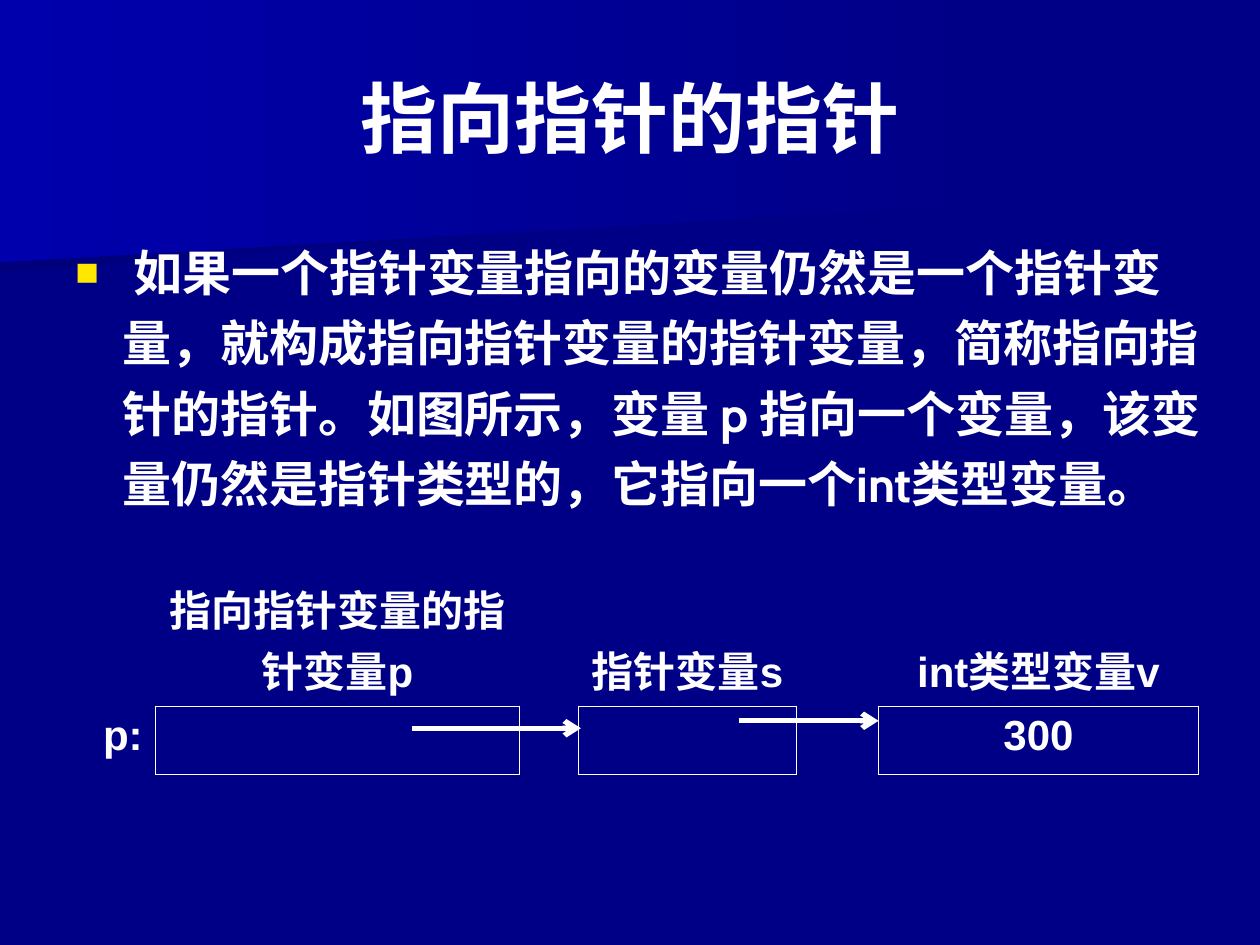
from lxml.etree import SubElement
from pptx import Presentation
from pptx.dml.color import RGBColor
from pptx.enum.shapes import MSO_CONNECTOR as CONN
from pptx.enum.text import MSO_ANCHOR as ANCHOR, PP_ALIGN as ALIGN
from pptx.oxml.ns import qn
from pptx.util import Cm, Pt

NAVY = RGBColor(0x00, 0x00, 0x86)
DEEP = RGBColor(0x00, 0x00, 0x7D)
BRIGHT = RGBColor(0x00, 0x00, 0xAC)
WHITE = RGBColor(0xFF, 0xFF, 0xFF)
YELLOW = RGBColor(0xFF, 0xE7, 0x01)
NO_STYLE = "{2D5ABB26-0587-4C30-8999-92F81FD0307C}"

COLUMNS = [1.83, 7.34, 1.19, 4.4, 1.65, 6.45]
ROWS = [2.7, 1.39]
HEADINGS = ["", "指向指针变量的指针变量p", "", "指针变量s", "", "int类型变量v"]
VALUES = ["p:", "", "", "", "", "300"]
BODY = ("如果一个指针变量指向的变量仍然是一个指针变量，就构成指向指针变量的指针变量，"
        "简称指向指针的指针。如图所示，变量 p 指向一个变量，该变量仍然是指针类型的，"
        "它指向一个int类型变量。")


def write(p, text, size=24, font="Arial", bold=True, align=ALIGN.LEFT):
    """Add a formatted white run to a paragraph."""
    p.alignment = align
    r = p.add_run()
    r.text = text
    r.font.size, r.font.name, r.font.bold = Pt(size), font, bold
    r.font.color.rgb = WHITE


def add_text_frame(s, x, y, w, h, anchor=ANCHOR.TOP):
    """Add a wrapping text box and return its frame."""
    tf = s.shapes.add_textbox(Cm(x), Cm(y), Cm(w), Cm(h)).text_frame
    tf.word_wrap = True
    tf.vertical_anchor = anchor
    return tf


def add_band(s, x, y, w, h, right_h, colour):
    """Add a gradient band whose lower edge rises to right_h at the right."""
    builder = s.shapes.build_freeform(Cm(x), Cm(y))
    corners = [(x + w, y), (x + w, y + right_h), (x, y + h)]
    builder.add_line_segments([(Cm(a), Cm(b)) for a, b in corners], close=True)
    sp = builder.convert_to_shape()
    sp.shadow.inherit = False
    sp.line.fill.background()
    sp.fill.gradient()
    sp.fill.gradient_angle = 180
    for stop, rgb in zip(sp.fill.gradient_stops, (NAVY, colour)):
        stop.color.rgb = rgb


def add_title(s, x, y, w, h):
    """Add the centred title."""
    tf = add_text_frame(s, x, y, w, h, ANCHOR.MIDDLE)
    write(tf.paragraphs[0], "指向指针的指针", size=44, font="Cabin", align=ALIGN.CENTER)


def add_body(s, x, y, w, h):
    """Add the bulleted explanation."""
    p = add_text_frame(s, x, y, w, h).paragraphs[0]
    pPr = p._p.get_or_add_pPr()
    pPr.set("marL", str(Cm(0.95)))
    pPr.set("indent", str(-Cm(0.95)))
    pPr.set("hangingPunct", "0")
    clr = SubElement(pPr, qn("a:buClr"))
    SubElement(clr, qn("a:srgbClr"), val=str(YELLOW))
    SubElement(pPr, qn("a:buSzPct"), val="80000")
    SubElement(pPr, qn("a:buFont"), typeface="Arial")
    SubElement(pPr, qn("a:buChar"), char="■")
    p.line_spacing = 1.2
    p.space_after = Pt(7)
    write(p, " ", size=28, font="Cabin", bold=False)
    write(p, BODY, size=28, font="Cabin")


def set_borders(cell, sides):
    """Draw thin white lines on the given sides of a cell."""
    tcPr = cell._tc.get_or_add_tcPr()
    for side in "LRTB":
        ln = SubElement(tcPr, qn(f"a:ln{side}"), w=str(Pt(0.45)))
        if side in sides:
            fill = SubElement(ln, qn("a:solidFill"))
            SubElement(fill, qn("a:srgbClr"), val=str(WHITE))
        else:
            SubElement(ln, qn("a:noFill"))


def cell_sides(row, col):
    """Return the bordered sides: odd columns of the lower row are boxes."""
    if row == 0:
        return "B" if col % 2 else ""
    if col % 2:
        return "LRTB"
    return "LR" if col else "R"


def add_arrow(s, x, y, w):
    """Add a horizontal white arrow pointing right."""
    c = s.shapes.add_connector(CONN.STRAIGHT, Cm(x), Cm(y), Cm(x + w), Cm(y))
    c.line.color.rgb = WHITE
    c.line.width = Pt(3)
    SubElement(c.line._get_or_add_ln(), qn("a:tailEnd"), type="arrow")
    SubElement(c._element.spPr, qn("a:effectLst"))


def add_diagram(s, x, y, w, h):
    """Add the table of variables and the arrows between its boxes."""
    frame = s.shapes.add_table(len(ROWS), len(COLUMNS), Cm(x), Cm(y), Cm(w), Cm(h))
    table = frame.table
    table.first_row = table.horz_banding = False
    table._tbl.tblPr.find(qn("a:tableStyleId")).text = NO_STYLE
    for column, width in zip(table.columns, COLUMNS):
        column.width = Cm(width)
    for i, (height, texts) in enumerate(zip(ROWS, (HEADINGS, VALUES))):
        table.rows[i].height = Cm(height)
        for j, text in enumerate(texts):
            cell = table.cell(i, j)
            set_borders(cell, cell_sides(i, j))
            cell.fill.background()
            cell.vertical_anchor = ANCHOR.TOP if i else ANCHOR.BOTTOM
            if text:
                align = ALIGN.CENTER if j else ALIGN.RIGHT
                write(cell.text_frame.paragraphs[0], text, align=align)
    add_arrow(s, x + 7.01, y + 3.15, 3.4)
    add_arrow(s, x + 13.59, y + 3, 2.82)


def main():
    """Build the slide and save it."""
    prs = Presentation()
    prs.slide_width, prs.slide_height = Cm(25.4), Cm(19.05)
    s = prs.slides.add_slide(prs.slide_layouts[6])
    s.background.fill.solid()
    s.background.fill.fore_color.rgb = NAVY
    add_band(s, 0, 2.57, 19.79, 2.93, 1.32, DEEP)
    add_band(s, 0, 0, 20.12, 5.28, 4.11, BRIGHT)
    add_title(s, 1.27, 0.76, 22.86, 3.18)
    add_body(s, 1.27, 4.52, 24.13, 6.6)
    add_diagram(s, 1.3, 11.53, sum(COLUMNS), sum(ROWS))
    prs.save("out.pptx")


if __name__ == "__main__":
    main()
